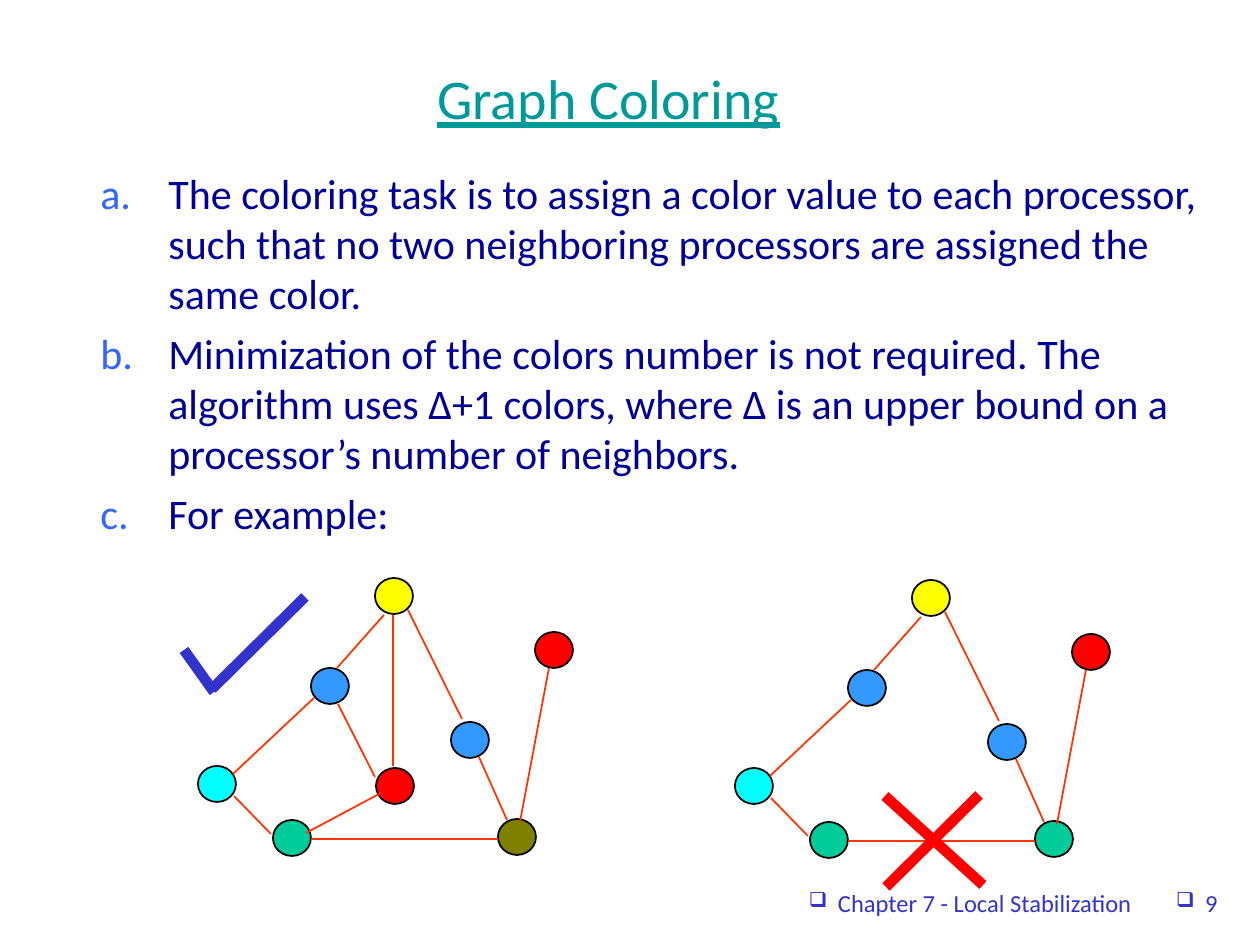
from pptx import Presentation
from pptx.dml.color import RGBColor
from pptx.enum.shapes import MSO_CONNECTOR, MSO_SHAPE
from pptx.enum.text import MSO_ANCHOR, PP_ALIGN
from pptx.oxml.ns import qn
from pptx.util import Pt
from lxml.etree import SubElement

PX = 914400 // 126
BLACK = RGBColor(0, 0, 0)
INDIGO = RGBColor(0x33, 0x33, 0xCC)
TEAL = RGBColor(0x00, 0x99, 0x99)
NAVY = RGBColor(0x00, 0x00, 0x99)
ORANGE = RGBColor(0xFF, 0x33, 0x00)
YELLOW = RGBColor(0xFF, 0xFF, 0x00)
BLUE = RGBColor(0x33, 0x99, 0xFF)
RED = RGBColor(0xFF, 0x00, 0x00)
OLIVE = RGBColor(0x80, 0x80, 0x00)
GREEN = RGBColor(0x00, 0xCC, 0x99)
CYAN = RGBColor(0x00, 0xFF, 0xFF)

deck = Presentation()
deck.slide_width, deck.slide_height = 1260 * PX, 945 * PX
page = deck.slides.add_slide(deck.slide_layouts[6])


def add_text(box_px, texts, size, color, align, underline=None):
    """Add a wrapping text box with one run per paragraph; return its frame."""
    frame = page.shapes.add_textbox(*(v * PX for v in box_px)).text_frame
    frame.word_wrap = True
    for index, text in enumerate(texts):
        para = frame.paragraphs[0] if index == 0 else frame.add_paragraph()
        para.alignment = align
        span = para.add_run()
        span.text = text
        span.font.name, span.font.size = "Calibri", Pt(size)
        span.font.color.rgb = color
        span.font.underline = underline
    return frame


def add_line(group, ends, color, width):
    """Add a straight line without shadow to a group."""
    line = group.shapes.add_connector(
        MSO_CONNECTOR.STRAIGHT, *(v * PX for v in ends))
    line.line.color.rgb, line.line.width = color, Pt(width)
    SubElement(line._element.spPr, qn("a:effectLst"))


# Footer
for box_px, text in [((432, 882, 712, 63), "Chapter 7 - Local Stabilization"),
                     ((1144, 882, 86, 63), "9")]:
    frame = add_text(box_px, [text], 14, INDIGO, PP_ALIGN.RIGHT)
    props = frame.paragraphs[0]._p.get_or_add_pPr()
    props.set("marL", str(29 * PX))
    props.set("indent", str(-29 * PX))
    SubElement(props, qn("a:buSzPct"), val="85000")
    SubElement(props, qn("a:buFont"), typeface="Wingdings")
    SubElement(props, qn("a:buChar"), char="q")

# Title and lettered list
title = add_text((73, 32, 1071, 130), ["Graph Coloring"], 32, TEAL,
                 PP_ALIGN.CENTER, True)
title.vertical_anchor = MSO_ANCHOR.MIDDLE

body = add_text((25, 161, 1210, 713), [
    "The coloring task is to assign a color value to each processor, such "
    "that no two neighboring processors are assigned the same color.",
    "Minimization of the colors number is not required. The algorithm uses "
    "Δ+1 colors, where Δ is an upper bound on a processor’s number of "
    "neighbors.",
    "For example:",
], 24, NAVY, PP_ALIGN.LEFT)
for para in body.paragraphs:
    para.space_before = Pt(5)
    props = para._p.get_or_add_pPr()
    props.set("marL", str(131 * PX))
    props.set("indent", str(-68 * PX))
    bullet_color = SubElement(props, qn("a:buClr"))
    SubElement(bullet_color, qn("a:srgbClr"), val="3366FF")
    SubElement(props, qn("a:buFont"), typeface="+mj-lt")
    SubElement(props, qn("a:buAutoNum"), type="alphaLcPeriod")

# Both graphs share these nodes and edges
NODES = [(375, 578, YELLOW), (451, 722, BLUE), (535, 632, RED),
         (311, 668, BLUE), (273, 820, GREEN), (198, 766, CYAN)]
EDGES = [(384, 615, 337, 668), (234, 796, 271, 834), (314, 698, 233, 774),
         (549, 668, 520, 822), (462, 719, 408, 610), (479, 757, 507, 820),
         (311, 839, 498, 839)]
# The valid graph has one more node, joined by three edges
INNER_NODE = (376, 768, RED)
INNER_EDGES = [(393, 615, 393, 766), (381, 793, 306, 833),
               (338, 704, 375, 777)]
CORNER = (498, 819)

for dx, dy, nodes, edges in [
        (0, 0, NODES + [(*CORNER, OLIVE), INNER_NODE], EDGES + INNER_EDGES),
        (537, 2, NODES + [(*CORNER, GREEN)], EDGES)]:
    graph = page.shapes.add_group_shape()
    for left, top, color in nodes:
        node = graph.shapes.add_shape(
            MSO_SHAPE.OVAL, (left + dx) * PX, (top + dy) * PX, 38 * PX, 36 * PX)
        node.shadow.inherit = False
        node.fill.solid()
        node.fill.fore_color.rgb = color
        node.line.color.rgb, node.line.width = BLACK, Pt(1)
    for x1, y1, x2, y2 in edges:
        add_line(graph, (x1 + dx, y1 + dy, x2 + dx, y2 + dy), ORANGE, 1)

# Cross and check mark
for color, strokes in [
        (RED, [(886, 887, 979, 795), (983, 885, 885, 796)]),
        (INDIGO, [(212, 689, 305, 597), (214, 692, 184, 650)])]:
    mark = page.shapes.add_group_shape()
    for stroke in strokes:
        add_line(mark, stroke, color, 6)

deck.save("out.pptx")
